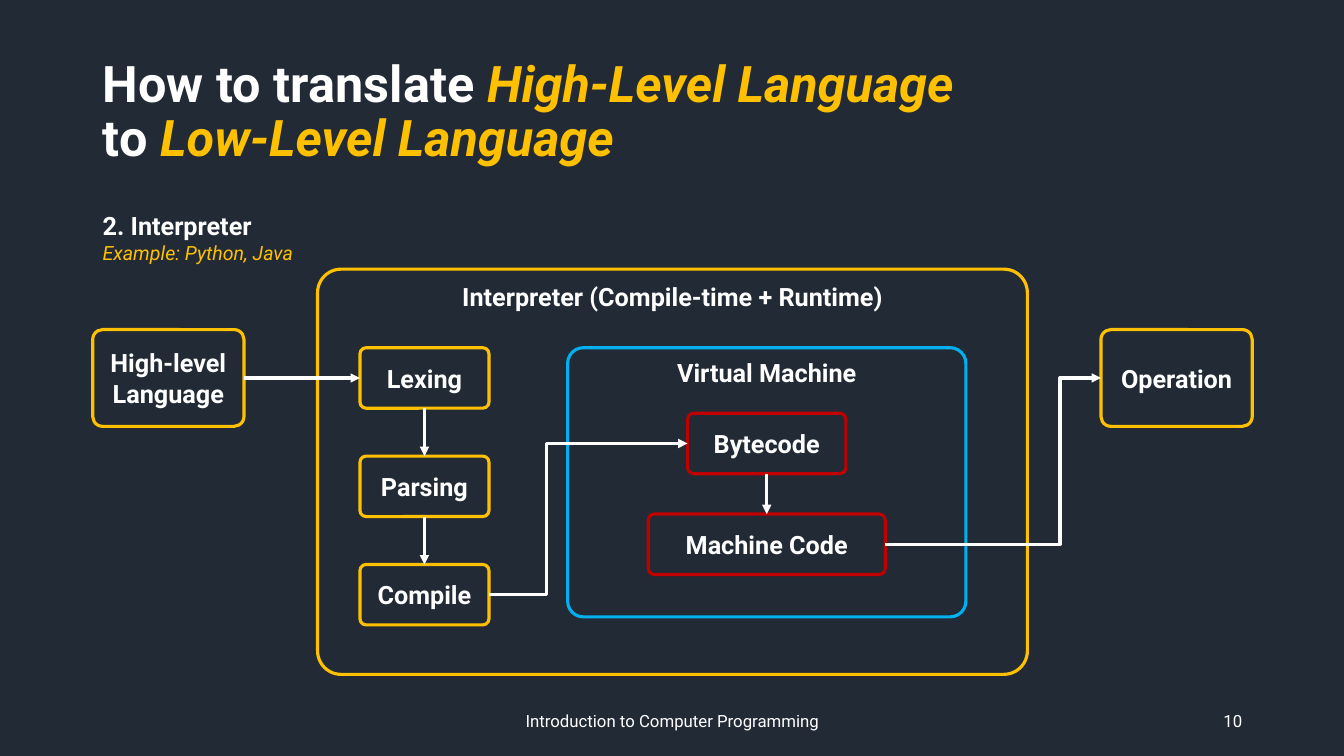
import pptx
import pptx.util
import pptx.dml.color
import pptx.enum.shapes
import pptx.enum.text
import pptx.oxml.ns
import pptx.oxml.xmlchemy

WIDTH, HEIGHT = 13.33, 7.5
MARGIN = 0.92
FONT = "Roboto"
NAVY, WHITE, AMBER, RED, BLUE = "222A35", "FFFFFF", "FFC000", "C00000", "00B0F0"
ALIGN = pptx.enum.text.PP_ALIGN
ANCHOR = pptx.enum.text.MSO_ANCHOR
TOP, LEFT, BOTTOM, RIGHT = range(4)

TITLE = [
    [("How to translate ", False), ("High-Level Language", True)],
    [("to ", False), ("Low-Level Language", True)],
]
HEADING, EXAMPLE = "2. Interpreter", "Example: Python, Java"
FOOTER, PAGE = "Introduction to Computer Programming", "10"

ROW_TOP, ROW_H, ROW_STEP = 3.45, 0.6, 1.075
FLOW_Y = ROW_TOP + ROW_H / 2
STEP_X, STEP_W = 3.57, 1.28
END_W, END_H = 1.5, 0.96
VM_X, VM_W = 5.63, 3.95
VM_MID = VM_X + VM_W / 2

FRAMES = [
    ("Interpreter (Compile-time + Runtime)", (3.15, 2.67, 7.04, 4.02), AMBER),
    ("Virtual Machine", (VM_X, ROW_TOP, VM_W, 2.67), BLUE),
]
ENDS = [("High-level\nLanguage", MARGIN), ("Operation", WIDTH - MARGIN - END_W + 0.01)]
STEPS = ["Lexing", "Parsing", "Compile"]
VM_STEPS = [("Bytecode", 1.57, 4.1), ("Machine Code", 2.35, 5.1)]
ARROWS = [
    ("High-level\nLanguage", RIGHT, "Lexing", LEFT, None),
    ("Lexing", BOTTOM, "Parsing", TOP, None),
    ("Parsing", BOTTOM, "Compile", TOP, None),
    ("Compile", RIGHT, "Bytecode", LEFT, 0.29),
    ("Bytecode", BOTTOM, "Machine Code", TOP, None),
    ("Machine Code", RIGHT, "Operation", LEFT, 0.81),
]


def rgb(value):
    return pptx.dml.color.RGBColor.from_string(value)


def inches(*values):
    return [pptx.util.Inches(v) for v in values]


def style(r, size, color=WHITE, bold=False, italic=False):
    r.font.name = FONT
    r.font.size = pptx.util.Pt(size)
    r.font.color.rgb = rgb(color)
    r.font.bold = bold
    r.font.italic = italic


def add_text(s, text, box, size, align=ALIGN.LEFT, anchor=ANCHOR.TOP):
    tf = s.shapes.add_textbox(*inches(*box)).text_frame
    tf.word_wrap = True
    tf.vertical_anchor = anchor
    tf.text = text
    for p in tf.paragraphs:
        p.alignment = align
        style(p.runs[0], size)
    return tf


def add_box(s, text, box, color, anchor=ANCHOR.MIDDLE, rounding=0.102):
    kind = pptx.enum.shapes.MSO_SHAPE.ROUNDED_RECTANGLE
    sp = s.shapes.add_shape(kind, *inches(*box))
    sp.adjustments[0] = rounding
    sp.shadow.inherit = False
    sp.fill.background()
    sp.line.color.rgb = rgb(color)
    sp.line.width = pptx.util.Pt(2.25)
    tf = sp.text_frame
    tf.word_wrap = True
    tf.vertical_anchor = anchor
    tf.text = text
    for p in tf.paragraphs:
        p.alignment = ALIGN.CENTER
        style(p.runs[0], 18, bold=True)
    return sp


def add_arrow(s, start, start_side, end, end_side, bend):
    kinds = pptx.enum.shapes.MSO_CONNECTOR
    kind = kinds.ELBOW if bend else kinds.STRAIGHT
    line = s.shapes.add_connector(kind, 0, 0, 0, 0)
    line.begin_connect(start, start_side)
    line.end_connect(end, end_side)
    line.line.color.rgb = rgb(WHITE)
    line.line.width = pptx.util.Pt(2.25)
    qn, element = pptx.oxml.ns.qn, pptx.oxml.xmlchemy.OxmlElement
    props = line._element.spPr
    tail = element("a:tailEnd")
    tail.set("type", "triangle")
    props.find(qn("a:ln")).append(tail)
    props.append(element("a:effectLst"))
    if bend:
        guide = element("a:gd")
        guide.set("name", "adj1")
        guide.set("fmla", f"val {round(bend * 100000)}")
        props.find(qn("a:prstGeom")).find(qn("a:avLst")).append(guide)


def add_title(s):
    sp = s.shapes.title
    sp.left, sp.top, sp.width, sp.height = inches(MARGIN, 0.4, 11.5, 1.45)
    tf = sp.text_frame
    tf.word_wrap = True
    tf.auto_size = pptx.enum.text.MSO_AUTO_SIZE.NONE
    tf.vertical_anchor = ANCHOR.MIDDLE
    p = tf.paragraphs[0]
    p.alignment = ALIGN.LEFT
    p.line_spacing = 0.9
    for i, row in enumerate(TITLE):
        if i:
            p.add_line_break()
        for text, accent in row:
            r = p.add_run()
            r.text = text
            style(r, 36, AMBER if accent else WHITE, True, accent)


def main():
    prs = pptx.Presentation()
    prs.slide_width, prs.slide_height = inches(WIDTH, HEIGHT)
    s = prs.slides.add_slide(prs.slide_layouts[5])
    s.background.fill.solid()
    s.background.fill.fore_color.rgb = rgb(NAVY)

    add_title(s)
    tf = add_text(s, f"{HEADING}\n{EXAMPLE}", (MARGIN, 2.04, 9.76, 0.64), 18)
    style(tf.paragraphs[0].runs[0], 18, bold=True)
    style(tf.paragraphs[1].runs[0], 14, AMBER, italic=True)
    add_text(s, FOOTER, (4.42, 6.95, 4.5, 0.4), 12, ALIGN.CENTER, ANCHOR.MIDDLE)
    add_text(s, PAGE, (9.42, 6.95, 3, 0.4), 12, ALIGN.RIGHT, ANCHOR.MIDDLE)

    for text, box, color in FRAMES:
        add_box(s, text, box, color, ANCHOR.TOP, 0.058)
    boxes = {}
    for text, x in ENDS:
        boxes[text] = add_box(s, text, (x, FLOW_Y - END_H / 2, END_W, END_H), AMBER)
    for i, text in enumerate(STEPS):
        y = ROW_TOP + i * ROW_STEP
        boxes[text] = add_box(s, text, (STEP_X, y, STEP_W, ROW_H), AMBER)
    for text, w, y in VM_STEPS:
        boxes[text] = add_box(s, text, (VM_MID - w / 2, y, w, ROW_H), RED)
    for start, start_side, end, end_side, bend in ARROWS:
        add_arrow(s, boxes[start], start_side, boxes[end], end_side, bend)

    prs.save("out.pptx")


if __name__ == "__main__":
    main()
